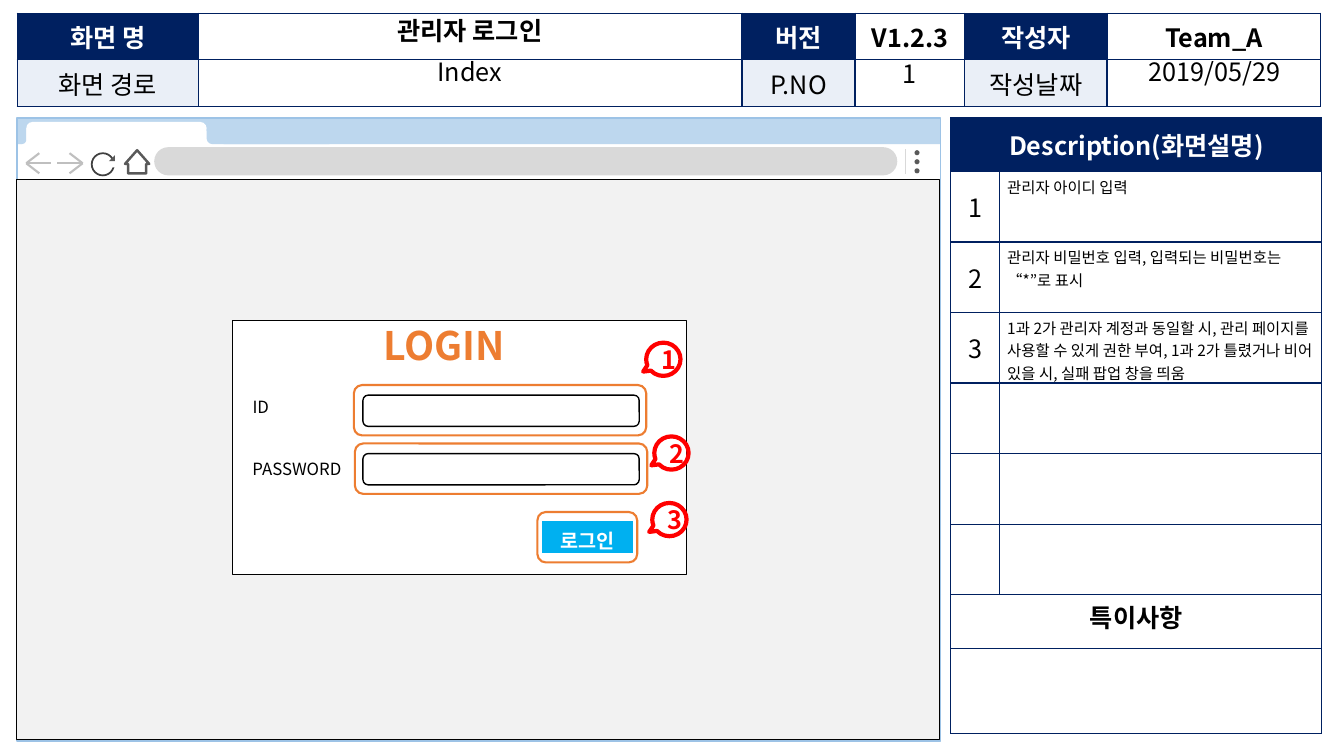
from pptx import Presentation
from pptx.dml.color import RGBColor
from pptx.enum.shapes import MSO_CONNECTOR, MSO_SHAPE as Shape
from pptx.enum.text import MSO_ANCHOR as Anchor, PP_ALIGN as Align
from pptx.oxml.ns import qn
from pptx.util import Emu, Pt
from lxml.etree import SubElement

PX = 9144  # 100 px to the inch
FONT = "Noto Sans CJK KR"
BLACK, WHITE, NAVY, PALE = "000000", "FFFFFF", "002060", "EAEFF7"
SKY, GRAY, DARK, MIST = "BDD7EE", "D9D9D9", "595959", "BFBFBF"
ORANGE, RED, BLUE = "ED7D31", "FF0000", "00B0F0"


def px(*lengths):
    return [Emu(length * PX) for length in lengths]


def color(value):
    return RGBColor.from_string(value)


def write(frame, text, size=18, ink=BLACK, bold=False, align=Align.CENTER, spacing=None):
    para = frame.paragraphs[0]
    para.alignment = align
    if spacing:
        para.line_spacing = spacing
    span = para.add_run()
    span.text = text
    font = span.font
    font.size, font.bold, font.name = Pt(size), bold, FONT
    font.color.rgb = color(ink)
    SubElement(font._element, qn("a:ea"), typeface=FONT)


def add_box(page, kind, at, fill=None, line=None, width=1, adjust=()):
    box = page.shapes.add_shape(kind, *px(*at))
    box.shadow.inherit = False
    if fill:
        box.fill.solid()
        box.fill.fore_color.rgb = color(fill)
    else:
        box.fill.background()
    if line:
        box.line.color.rgb = color(line)
        box.line.width = Pt(width)
    else:
        box.line.fill.background()
    for index, value in enumerate(adjust):
        box.adjustments[index] = value
    return box


def add_line(page, start, end, ink, width):
    line = page.shapes.add_connector(MSO_CONNECTOR.STRAIGHT, *px(*start, *end))
    line.line.color.rgb = color(ink)
    line.line.width = Pt(width)
    SubElement(line._element.spPr, qn("a:effectLst"))


def add_text(page, at, text, anchor=Anchor.TOP, spacing=None, **style):
    box = page.shapes.add_textbox(*px(*at))
    box.text_frame.word_wrap = True
    box.text_frame.vertical_anchor = anchor
    write(box.text_frame, text, spacing=spacing, **style)


def add_label(page, at, text, **style):
    label = add_box(page, Shape.ROUNDED_RECTANGLE, at)
    write(label.text_frame, text, **style)


def add_grid(page, left, top, columns, rows):
    size = (sum(columns), sum(rows))
    frame = page.shapes.add_table(len(rows), len(columns), *px(left, top, *size))
    table = frame.table
    table.first_row = table.horz_banding = False
    for column, width in zip(table.columns, px(*columns)):
        column.width = width
    for row, height in zip(table.rows, px(*rows)):
        row.height = height
    return table


def style_cell(cell, fill=None, border=None, anchor=Anchor.MIDDLE):
    cell.vertical_anchor = anchor
    for side in ("lnL", "lnR", "lnT", "lnB") if border else ():
        edge = SubElement(cell._tc.get_or_add_tcPr(), qn(f"a:{side}"), w=str(Pt(1)))
        SubElement(SubElement(edge, qn("a:solidFill")), qn("a:srgbClr"), val=border)
    if fill:
        cell.fill.solid()
        cell.fill.fore_color.rgb = color(fill)
    else:
        cell.fill.background()


def draw_browser(page):
    # Toolbar, address bar and menu dots
    add_box(page, Shape.RECTANGLE, (17, 142, 916, 37), WHITE, BLACK, 0.5)
    add_box(page, Shape.ROUNDED_RECTANGLE, (153, 146, 737, 28), GRAY, adjust=[0.5])
    for step in range(3):
        add_box(page, Shape.OVAL, (907, 149 + 9 * step, 5, 5), DARK)
    add_line(page, (898, 148), (898, 173), GRAY, 1)
    add_box(page, Shape.RECTANGLE, (17, 117, 916, 26), SKY)

    # Back and forward arrows
    for tip, turn in ((26, 1), (82, -1)):
        for run, rise in ((25, 0), (13, -10), (13, 10)):
            add_line(page, (tip, 162), (tip + turn * run, 162 + rise), MIST, 1.5)

    # Reload and home
    add_box(page, Shape.OVAL, (91, 152, 22, 22), None, "404040", 1.25)
    add_box(page, Shape.RECTANGLE, (109, 158, 8, 8), WHITE)
    add_box(page, Shape.ISOSCELES_TRIANGLE, (108, 154, 6, 6), DARK, adjust=[1])
    home = add_box(page, Shape.DOWN_ARROW, (124, 149, 24, 23), WHITE, DARK, 1.75, [0.75, 0.59])
    home.rotation = 180

    # Tab with curved feet
    for at, fill, corner in (
        ((26, 121, 179, 23), WHITE, 0.28),
        ((188, 130, 34, 15), WHITE, 0.17),
        ((205, 123, 127, 20), SKY, 0.28),
        ((21, 130, 13, 15), WHITE, 0.17),
        ((17, 123, 9, 20), SKY, 0.46),
    ):
        add_box(page, Shape.ROUNDED_RECTANGLE, at, fill, adjust=[corner])
    add_box(page, Shape.RECTANGLE, (17, 117, 916, 618), None, "9DC3E6", 1)


def draw_header(page):
    table = add_grid(page, 17, 13, (180, 539, 112, 109, 141, 212), (40, 40))
    rows = (
        ("화면 명", "", "버전", "V1.2.3", "작성자", "Team_A"),
        ("화면 경로", "", "P.NO", "", "작성날짜", ""),
    )
    for row, texts in enumerate(rows):
        for column, text in enumerate(texts):
            cell = table.cell(row, column)
            heading = column % 2 == 0
            style_cell(cell, (NAVY, PALE)[row] if heading else WHITE, NAVY)
            if text:
                ink = WHITE if heading and row == 0 else BLACK
                write(cell.text_frame, text, ink=ink, bold=row == 0)


def draw_header_values(page):
    add_text(page, (197, 14, 538, 38), "관리자 로그인", spacing=0.9, bold=True)
    add_text(page, (197, 54, 538, 38), "Index", spacing=0.9)
    add_text(page, (1099, 54, 211, 38), "2019/05/29", spacing=0.9)
    add_text(page, (848, 54, 108, 38), "1", Anchor.MIDDLE)


def draw_description(page):
    notes = (
        "관리자 아이디 입력",
        "관리자 비밀번호 입력, 입력되는 비밀번호는 “*”로 표시",
        "1과 2가 관리자 계정과 동일할 시, 관리 페이지를 사용할 수 있게 권한 부여, "
        "1과 2가 틀렸거나 비어 있을 시, 실패 팝업 창을 띄움",
    )
    table = add_grid(page, 943, 117, (48, 320), (53, *[70] * 6, 53, 85))
    for row in range(9):
        for column in range(2):
            cell = table.cell(row, column)
            cell.margin_left, cell.margin_right = px(8, 8)
            cell.margin_top, cell.margin_bottom = px(4, 4)
            middle = row == 0 or column == 0 and row < 7
            style_cell(cell, None if row else NAVY, NAVY, Anchor.MIDDLE if middle else Anchor.TOP)
    for row in (0, 7, 8):
        table.cell(row, 0).merge(table.cell(row, 1))
    write(table.cell(0, 0).text_frame, "Description(화면설명)", ink=WHITE, bold=True)
    for number, note in enumerate(notes, 1):
        write(table.cell(number, 0).text_frame, str(number))
        write(table.cell(number, 1).text_frame, note, size=11, align=Align.LEFT)
    write(table.cell(7, 0).text_frame, "특이사항", bold=True)


def draw_login(page):
    # Panel, fields and labels
    add_box(page, Shape.RECTANGLE, (230, 318, 451, 252), WHITE, BLACK, 0.5)
    for top in (392, 450):
        add_box(page, Shape.ROUNDED_RECTANGLE, (360, top, 274, 31), None, BLACK, 1)
    add_label(page, (239, 387, 84, 34), "ID", size=12, align=Align.LEFT)
    add_label(page, (239, 449, 121, 32), "PASSWORD", size=12, align=Align.LEFT)
    add_label(page, (299, 317, 283, 51), "LOGIN", size=28, ink=ORANGE, bold=True)

    # Login button
    button = add_grid(page, 537, 516, (91,), (33,)).cell(0, 0)
    style_cell(button, BLUE)
    write(button.text_frame, "로그인", size=14, ink=WHITE, bold=True)

    # Highlights and numbered callouts
    for at in ((533, 508, 99, 50), (351, 382, 290, 50), (352, 440, 290, 50)):
        add_box(page, Shape.ROUNDED_RECTANGLE, at, None, ORANGE, 1.5)
    for number, (left, top) in enumerate(((641, 340), (649, 433), (647, 499)), 1):
        at = (left, top, 34, 33)
        callout = add_box(page, Shape.OVAL_CALLOUT, at, None, RED, 3, [-0.59, 0.37])
        write(callout.text_frame, str(number), ink=RED, bold=True)


def main():
    deck = Presentation()
    deck.slide_width, deck.slide_height = px(1333, 750)
    page = deck.slides.add_slide(deck.slide_layouts[6])
    draw_browser(page)
    draw_header(page)
    add_box(page, Shape.RECTANGLE, (16, 178, 916, 556), "F2F2F2", BLACK, 0.5)
    draw_header_values(page)
    draw_description(page)
    draw_login(page)
    deck.save("out.pptx")


if __name__ == "__main__":
    main()
